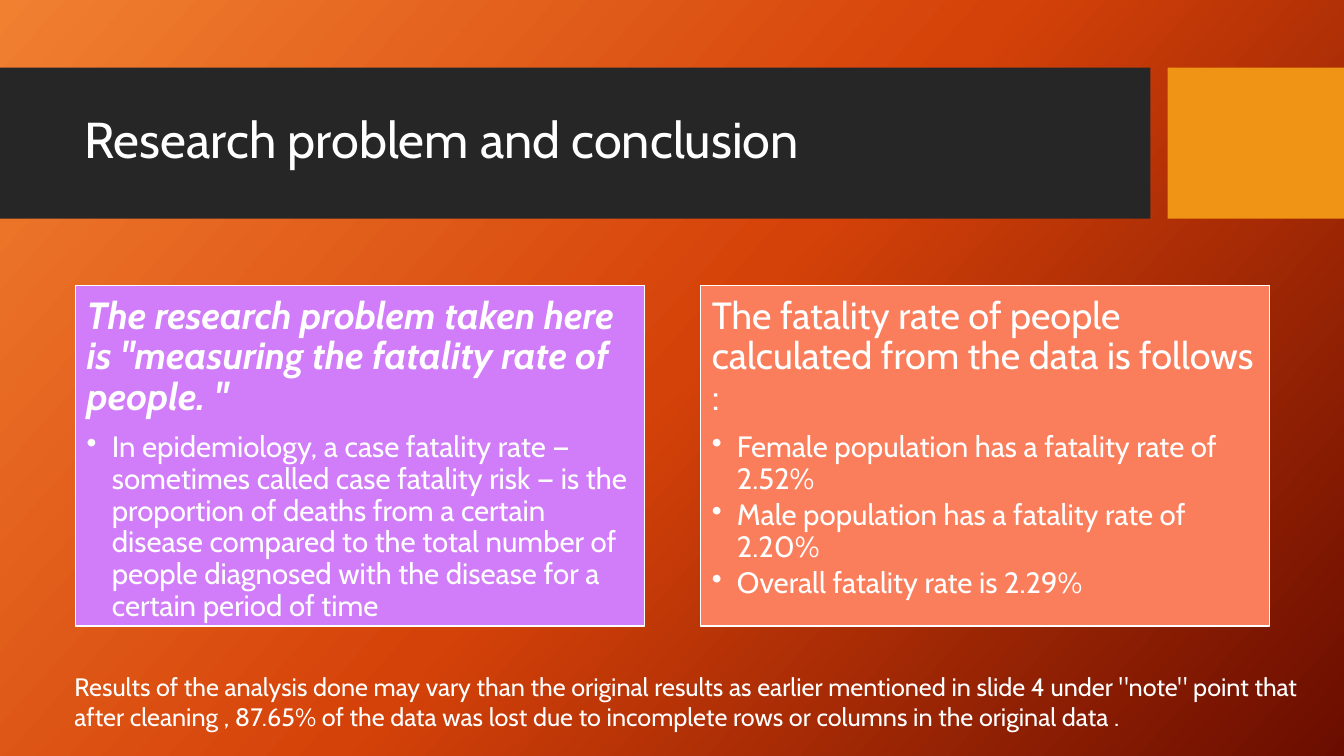
import pptx
import pptx.dml.color
import pptx.enum.shapes
import pptx.enum.text
import pptx.oxml
import pptx.oxml.ns
import pptx.util
from pptx.util import Inches, Pt

FONT = "Cabin"
WHITE = "FFFFFF"
TITLE = "Research problem and conclusion"
GRADIENT = [(0, "F18031"), (50, "D54209"), (100, "6A0D00")]
GRADIENT_ANGLE = 42
BANDS = [(0, 11.41, "262626"), (11.58, 1.75, "F09415")]
PANELS = [
    {
        "fill": "D17DF9",
        "emphasis": True,
        "heading": 'The research problem taken here is "measuring the fatality rate of people. "',
        "bullets": [
            "In epidemiology, a case fatality rate — sometimes called case fatality risk — "
            "is the proportion of deaths from a certain disease compared to the total number "
            "of people diagnosed with the disease for a certain period of time",
        ],
    },
    {
        "fill": "FA7E5C",
        "emphasis": False,
        "heading": "The fatality rate of people calculated from the data is follows :",
        "bullets": [
            "Female population has a fatality rate of 2.52%",
            "Male population has a fatality rate of 2.20%",
            "Overall fatality rate is 2.29%",
        ],
    },
]
FOOTNOTE = (
    "Results of the analysis done may vary than the original results as earlier mentioned "
    'in slide 4 under "note" point that after cleaning , 87.65% of the data was lost due to '
    "incomplete rows or columns in the original data ."
)
PANEL_LEFT, PANEL_TOP, PANEL_W, PANEL_H, PANEL_STEP = 0.75, 2.83, 5.64, 3.38, 6.2
HEADING_SIZE, BULLET_SIZE = 27, 21


def rgb(value):
    return pptx.dml.color.RGBColor.from_string(value)


def set_background(slide):
    fill = slide.background.fill
    fill.gradient()
    fill.gradient_angle = 360 - GRADIENT_ANGLE
    stops = slide.background._cSld.find(".//" + pptx.oxml.ns.qn("a:gsLst"))
    for stop in list(stops):
        stops.remove(stop)
    for position, color in GRADIENT:
        stops.append(pptx.oxml.parse_xml(
            f'<a:gs {pptx.oxml.ns.nsdecls("a")} pos="{position * 1000}">'
            f'<a:srgbClr val="{color}"/></a:gs>'))


def add_rect(slide, x, y, w, h, color):
    sp = slide.shapes.add_shape(
        pptx.enum.shapes.MSO_SHAPE.RECTANGLE, Inches(x), Inches(y), Inches(w), Inches(h))
    sp.shadow.inherit = False
    sp.fill.solid()
    sp.fill.fore_color.rgb = rgb(color)
    sp.line.fill.background()
    return sp


def write(p, text, size, emphasis=False):
    p.text = text
    p.alignment = pptx.enum.text.PP_ALIGN.LEFT
    for r in p.runs:
        r.font.name = FONT
        r.font.size = Pt(size)
        r.font.color.rgb = rgb(WHITE)
        r.font.bold = r.font.italic = emphasis


def add_text(slide, x, y, w, h, text, size):
    tf = slide.shapes.add_textbox(Inches(x), Inches(y), Inches(w), Inches(h)).text_frame
    tf.word_wrap = True
    write(tf.paragraphs[0], text, size)
    return tf


def add_bullet(p):
    pPr = p._p.get_or_add_pPr()
    pPr.set("marL", str(Inches(0.25)))
    pPr.set("indent", str(Inches(-0.25)))
    pPr.append(pptx.oxml.parse_xml(f'<a:buChar {pptx.oxml.ns.nsdecls("a")} char="•"/>'))


def add_panel(slide, x, panel):
    sp = add_rect(slide, x, PANEL_TOP, PANEL_W, PANEL_H, panel["fill"])
    sp.line.color.rgb = rgb(WHITE)
    sp.line.width = Pt(1)
    tf = sp.text_frame
    tf.word_wrap = True
    tf.vertical_anchor = pptx.enum.text.MSO_ANCHOR.TOP
    tf.margin_left = tf.margin_right = tf.margin_top = tf.margin_bottom = Inches(0.11)
    p = tf.paragraphs[0]
    write(p, panel["heading"], HEADING_SIZE, panel["emphasis"])
    p.line_spacing = 0.9
    p.space_after = Pt(HEADING_SIZE * 0.35)
    for bullet in panel["bullets"]:
        p = tf.add_paragraph()
        write(p, bullet, BULLET_SIZE)
        p.level = 1
        p.line_spacing = 0.9
        p.space_after = Pt(BULLET_SIZE * 0.15)
        add_bullet(p)


def main():
    prs = pptx.Presentation()
    prs.slide_width, prs.slide_height = Inches(13.33), Inches(7.5)
    slide = prs.slides.add_slide(prs.slide_layouts[6])
    set_background(slide)
    for x, w, color in BANDS:
        add_rect(slide, x, 0.67, w, 1.5, color)
    tf = add_text(slide, 0.74, 0.82, 10.51, 1.18, TITLE, 36)
    tf.vertical_anchor = pptx.enum.text.MSO_ANCHOR.MIDDLE
    tf.paragraphs[0].line_spacing = 0.9
    for i, panel in enumerate(PANELS):
        add_panel(slide, PANEL_LEFT + i * PANEL_STEP, panel)
    add_text(slide, 0.64, 6.61, 12.58, 1.01, FOOTNOTE, 18)
    prs.save("out.pptx")


if __name__ == "__main__":
    main()
